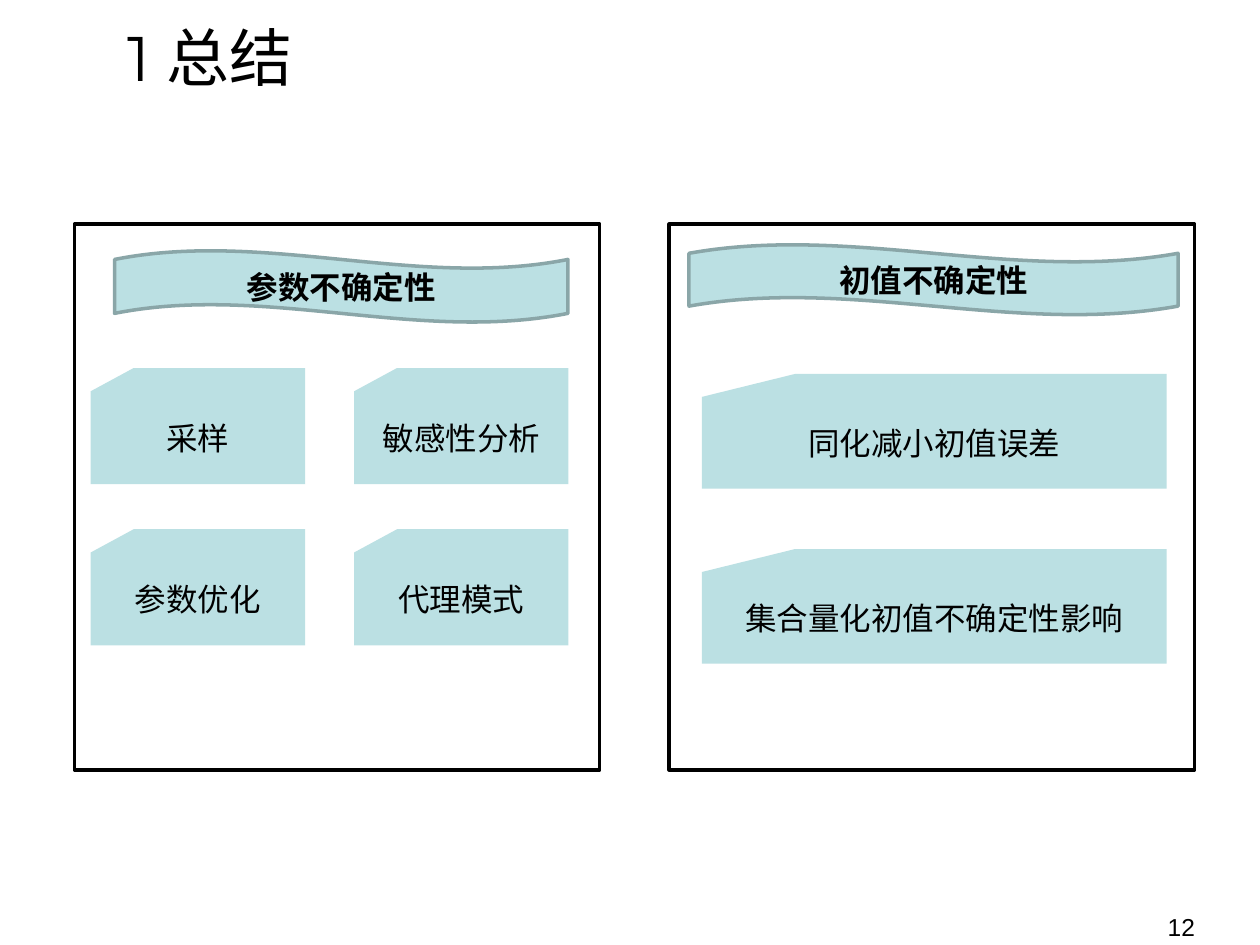
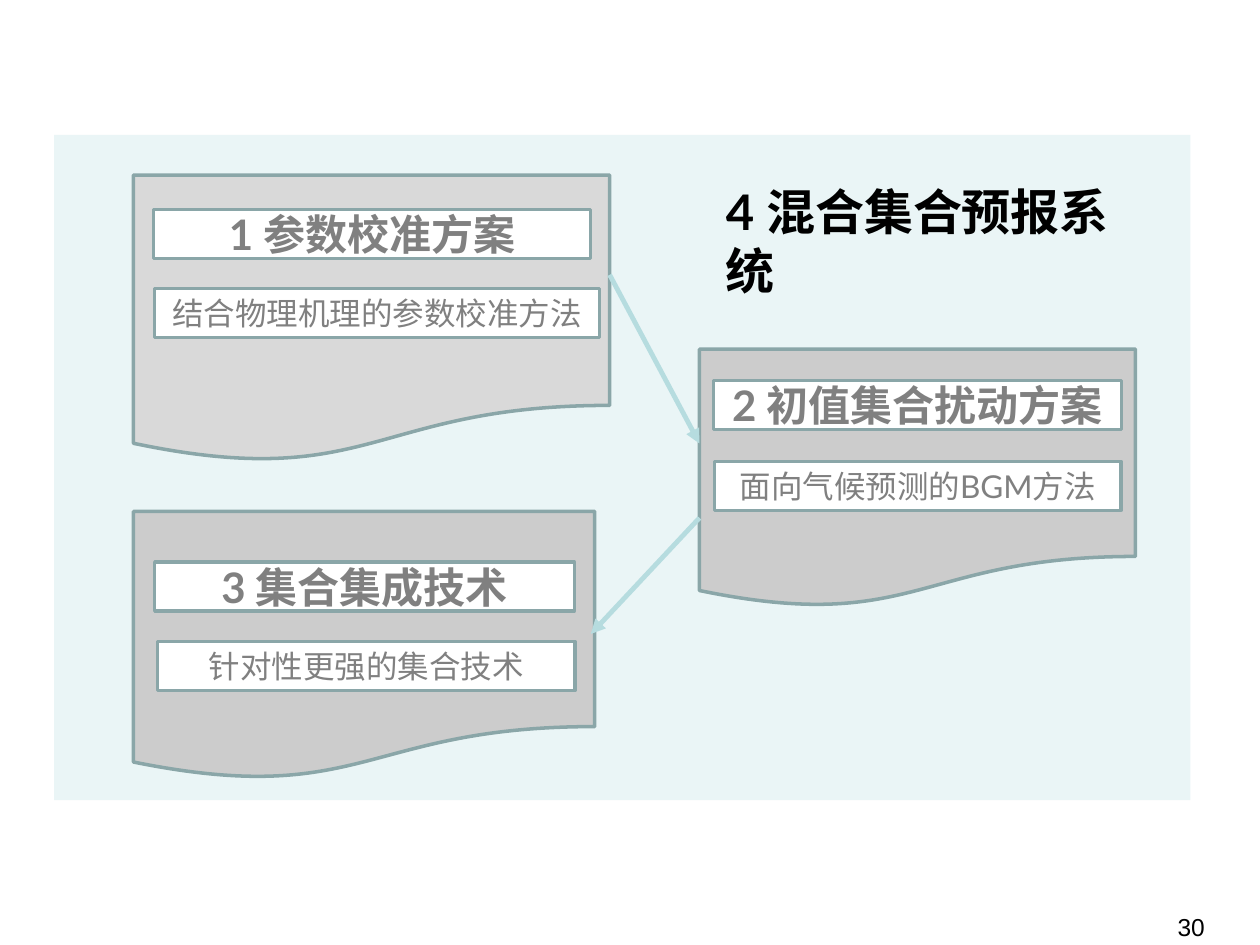
from dataclasses import dataclass

from lxml import etree
from pptx import Presentation
from pptx.dml.color import RGBColor
from pptx.enum import shapes as sh, text as tx
from pptx.oxml import ns
from pptx.util import Cm, Pt

KIND = sh.MSO_SHAPE
ALIGN = tx.PP_ALIGN
ANCHOR = tx.MSO_ANCHOR


@dataclass(frozen=True)
class Theme:
    """Colours, fonts and sizes shared by the slides."""
    ink: str = "000000"
    paper: str = "FFFFFF"
    teal: str = "BBE0E3"
    edge: str = "8AA6A8"
    arrow: str = "B6DCDF"
    pale: str = "D9D9D9"
    grey: str = "CCCCCC"
    dim: str = "808080"
    body: str = "Lato"
    head: str = "Montserrat"
    plain: str = "Arial"
    small: float = 14
    base: float = 18
    large: float = 24
    lead: float = 28
    huge: float = 36
    rule: float = 2
    stem: float = 2.75


T = Theme()


def rgb(code):
    """Turn a hex code into a colour."""
    return RGBColor.from_string(code)


def write(box, words, size, color=T.ink, bold=False, font=T.body,
          align=ALIGN.CENTER, anchor=ANCHOR.MIDDLE):
    """Put one styled paragraph into a shape."""
    frame = box.text_frame
    frame.text = words
    frame.word_wrap = True
    frame.auto_size = tx.MSO_AUTO_SIZE.NONE
    frame.vertical_anchor = anchor
    para = frame.paragraphs[0]
    para.alignment = align
    face = para.runs[0].font
    face.name, face.size, face.bold = font, Pt(size), bold
    face.color.rgb = rgb(color)


def draw(slide, kind, area, fill=None, line=None):
    """Add a flat preset shape; area is left, top, width, height in cm."""
    form = slide.shapes.add_shape(kind, *map(Cm, area))
    form.shadow.inherit = False
    if fill:
        form.fill.solid()
        form.fill.fore_color.rgb = rgb(fill)
    else:
        form.fill.background()
    if line:
        form.line.color.rgb = rgb(line)
        form.line.width = Pt(T.rule)
    else:
        form.line.fill.background()
    return form


def fade(form, share):
    """Make a solid fill partly transparent."""
    color = form.element.spPr.find(".//" + ns.qn("a:srgbClr"))
    etree.SubElement(color, ns.qn("a:alpha"), val=str(share * 1000))


def title(slide, words, area, size, **style):
    """Place the title above the shapes drawn so far."""
    box = slide.shapes.title
    box.left, box.top, box.width, box.height = map(Cm, area)
    write(box, words, size, align=ALIGN.LEFT, **style)
    slide.shapes.element.append(box.element)


def number(slide, words, left):
    """Write the page number from left to the slide's right edge."""
    box = slide.shapes.add_textbox(Cm(left), Cm(18.26), Cm(25.4 - left), Cm(0.79))
    write(box, words, T.small, font=T.plain, anchor=ANCHOR.TOP)


def banner(slide, words, area):
    """Add a wavy group heading."""
    form = draw(slide, KIND.WAVE, area, T.teal, T.edge)
    write(form, words, T.base, bold=True)


def cards(slide, words, cols, start, step, size):
    """Lay cards out in a grid, row by row."""
    for i, word in enumerate(words):
        row, col = divmod(i, cols)
        spot = start[0] + col * step[0], start[1] + row * step[1]
        form = draw(slide, KIND.FLOWCHART_CARD, spot + size, T.teal)
        write(form, word, T.base)


def label(slide, words, left, top, width, size, bold=False):
    """Add a white label strip."""
    form = draw(slide, KIND.RECTANGLE, (left, top, width, 0.99), T.paper, T.edge)
    write(form, words, size, T.dim, bold)
    form.text_frame.margin_left = form.text_frame.margin_right = Cm(0.1)


def arrow(slide, *ends):
    """Draw a straight arrow between two points."""
    link = slide.shapes.add_connector(sh.MSO_CONNECTOR.STRAIGHT, *map(Cm, ends))
    link.line.color.rgb = rgb(T.arrow)
    link.line.width = Pt(T.stem)
    props = link.element.spPr
    etree.SubElement(props.find(ns.qn("a:ln")), ns.qn("a:tailEnd"), type="triangle")
    etree.SubElement(props, ns.qn("a:effectLst"))


def recap(slide):
    """Build the summary of the two kinds of uncertainty."""
    for left in (1.5, 13.49):
        draw(slide, KIND.FLOWCHART_PROCESS, (left, 4.52, 10.59, 11), line=T.ink)
    title(slide, "1 总结", (2.31, 0.28, 23.01, 1.73), T.huge, font=T.head)
    banner(slide, "参数不确定性", (2.31, 5.05, 9.14, 1.45))
    cards(slide, ("采样", "敏感性分析", "参数优化", "代理模式"), 2,
          (1.83, 7.42), (5.31, 3.25), (4.32, 2.34))
    banner(slide, "初值不确定性", (13.89, 4.93, 9.86, 1.42))
    cards(slide, ("同化减小初值误差", "集合量化初值不确定性影响"), 1,
          (14.15, 7.54), (0, 3.53), (9.37, 2.31))
    number(slide, "12", 22.23)


def system(slide):
    """Build the scheme of the hybrid forecast system."""
    fade(draw(slide, KIND.RECTANGLE, (1.09, 2.72, 22.91, 13.41), T.teal), 30)
    parts = (
        ((2.69, 3.53, 9.6, 5.79), T.pale,
         ("1 参数校准方案", 3.1, 4.22, 8.81),
         ("结合物理机理的参数校准方法", 3.12, 5.82, 8.97)),
        ((14.1, 7.04, 8.79, 5.21), T.grey,
         ("2 初值集合扰动方案", 14.38, 7.67, 8.23),
         ("面向气候预测的BGM方法", 14.4, 9.3, 8.2)),
        ((2.69, 10.31, 9.3, 5.41), T.grey,
         ("3 集合集成技术", 3.12, 11.33, 8.46),
         ("针对性更强的集合技术", 3.18, 12.93, 8.41)),
    )
    for area, fill, name, note in parts:
        draw(slide, KIND.FLOWCHART_DOCUMENT, area, fill, T.edge)
        label(slide, *name, T.large, bold=True)
        label(slide, *note, T.base)
    arrow(slide, 12.29, 5.54, 14.1, 8.94)
    arrow(slide, 14.1, 10.44, 11.91, 12.78)
    title(slide, "4 混合集合预报系统", (14.38, 3.53, 9.2, 2.6), T.lead,
          bold=True, anchor=ANCHOR.TOP)
    number(slide, "30", 22.63)


def main():
    """Build both slides and save them."""
    deck = Presentation()
    deck.slide_width, deck.slide_height = Cm(25.4), Cm(19.05)
    for build in (recap, system):
        build(deck.slides.add_slide(deck.slide_layouts[5]))
    deck.save("out.pptx")


if __name__ == "__main__":
    main()
